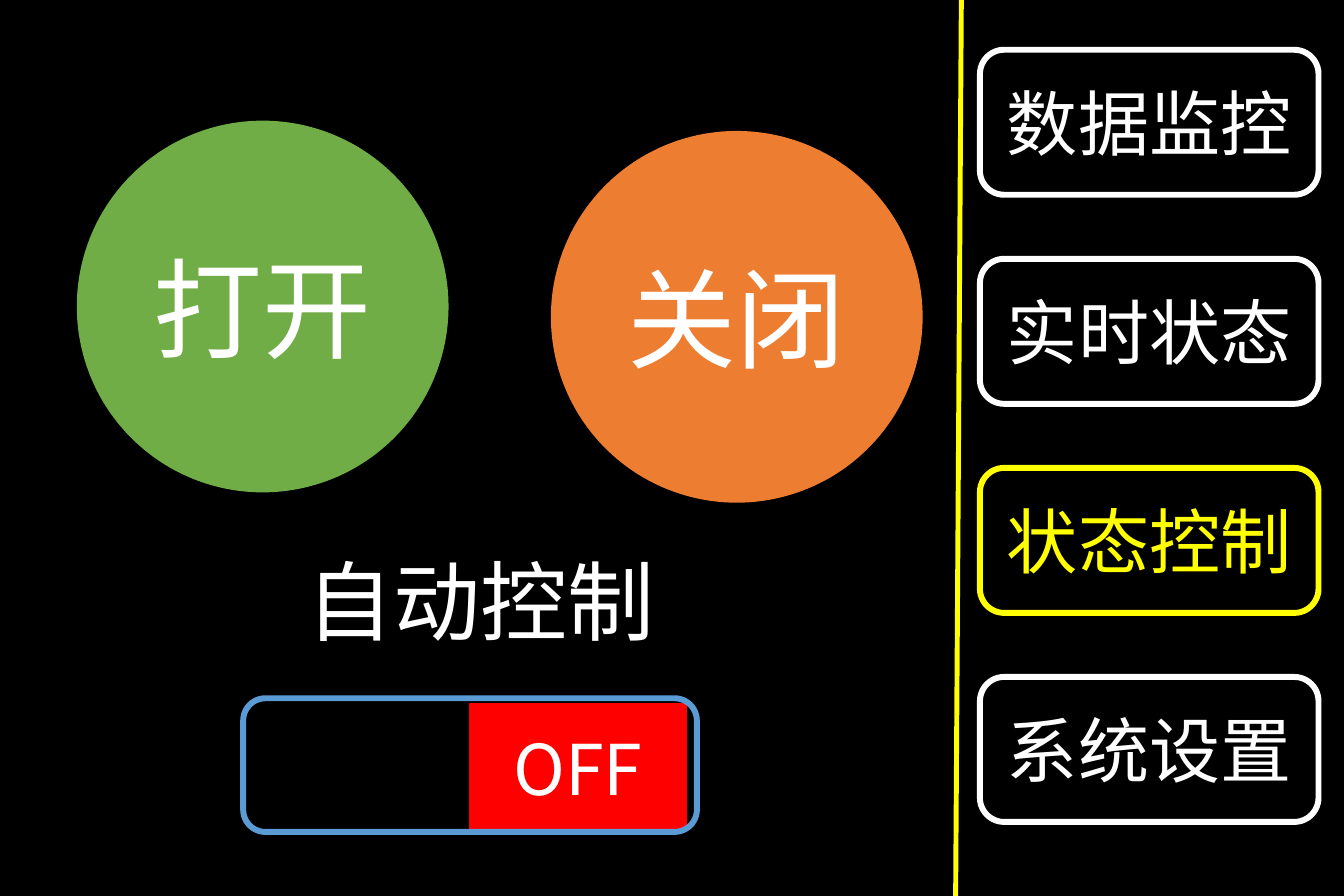
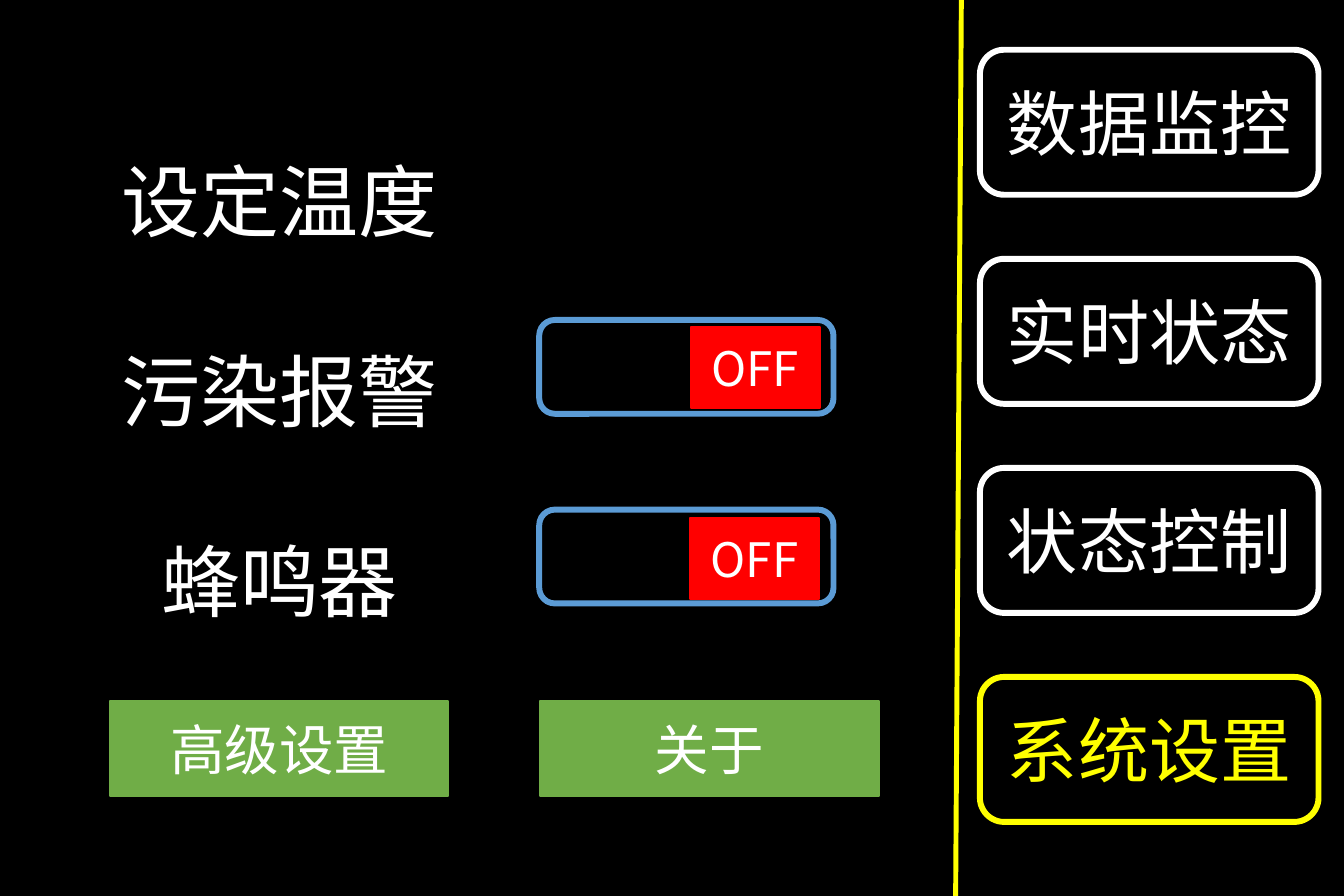
from lxml.etree import SubElement
from pptx import Presentation
from pptx.dml.color import RGBColor
from pptx.enum.shapes import MSO_CONNECTOR, MSO_SHAPE
from pptx.enum.text import MSO_ANCHOR, MSO_AUTO_SIZE, PP_ALIGN
from pptx.oxml.ns import qn
from pptx.util import Pt

FONT = "Noto Sans CJK SC"
BLACK, WHITE, YELLOW = "000000", "FFFFFF", "FFFF00"
GREEN, ORANGE, RED, BLUE = "70AD47", "ED7D31", "FF0000", "5B9BD5"
MENU = ["数据监控", "实时状态", "状态控制", "系统设置"]


def tint(code):
    return RGBColor.from_string(code)


class Panel:
    """Draws the screens of a touch panel, with lengths in points."""

    def __init__(self, width, height):
        self.deck = Presentation()
        self.deck.slide_width, self.deck.slide_height = Pt(width), Pt(height)
        self.height = height

    def screen(self, active):
        self.slide = self.deck.slides.add_slide(self.deck.slide_layouts[6])
        fill = self.slide.background.fill
        fill.solid()
        fill.fore_color.rgb = tint(BLACK)
        for row, name in enumerate(MENU):
            color = YELLOW if name == active else WHITE
            box = 496.1, 25.2 + 105.84 * row, 171.4, 73.4
            self.frame(box, color, name, 36)
        self.line(486.7, 0, 483.8, self.height)

    def letter(self, frame, text, size, color, align=PP_ALIGN.CENTER):
        frame.word_wrap = True
        para = frame.paragraphs[0]
        para.text, para.alignment = text, align
        font = para.font
        font.size, font.name = Pt(size), FONT
        font.color.rgb = tint(color)
        props = para._p.pPr.find(qn("a:defRPr"))
        SubElement(props, qn("a:ea")).set("typeface", FONT)
        return para

    def shape(self, kind, box, color, weight, text, size, ink):
        shape = self.slide.shapes.add_shape(kind, *map(Pt, box))
        shape.shadow.inherit = False
        shape.line.color.rgb = tint(color)
        shape.line.width = Pt(weight)
        if text:
            shape.text_frame.vertical_anchor = MSO_ANCHOR.MIDDLE
            self.letter(shape.text_frame, text, size, ink)
        return shape

    def frame(self, box, color, text="", size=0):
        kind = MSO_SHAPE.ROUNDED_RECTANGLE
        self.shape(kind, box, color, 3, text, size, color).fill.background()

    def button(self, kind, box, color, text, size):
        shape = self.shape(kind, box, color, 1, text, size, WHITE)
        shape.fill.solid()
        shape.fill.fore_color.rgb = tint(color)

    def switch(self, box, knob, size):
        self.button(MSO_SHAPE.RECTANGLE, knob, RED, "OFF", size)
        self.frame(box, BLUE)

    def label(self, box, text, size, align, space=1):
        frame = self.slide.shapes.add_textbox(*map(Pt, box)).text_frame
        para = self.letter(frame, text, size, WHITE, align)
        para.line_spacing = space
        frame.auto_size = MSO_AUTO_SIZE.SHAPE_TO_FIT_TEXT

    def line(self, *ends):
        line = self.slide.shapes.add_connector(
            MSO_CONNECTOR.STRAIGHT, *map(Pt, ends))
        line.line.color.rgb = tint(YELLOW)
        line.line.width = Pt(2.5)
        SubElement(line._element.spPr, qn("a:effectLst"))


panel = Panel(680.4, 453.6)

panel.screen("状态控制")
for left, top, color, text in [(39.4, 61.6, GREEN, "打开"),
                               (279.4, 66.8, ORANGE, "关闭")]:
    panel.button(MSO_SHAPE.OVAL, (left, top, 187.2, 187.2), color, text, 55.1)
panel.label((148.3, 273.6, 198.7, 60.5), "自动控制", 44, PP_ALIGN.LEFT)
panel.switch((123.1, 353.5, 229.7, 67.7), (237.9, 356.4, 109.4, 64.5), 35.4)

panel.screen("系统设置")
panel.label((36, 25.9, 211, 283.7), "设定温度污染报警蜂鸣器", 40,
            PP_ALIGN.CENTER, 2)
for top, left, knob in [(162, 349.6, 165.5), (258, 349.2, 262.1)]:
    panel.switch((273, top, 149, 47.5), (left, knob, 65.5, 41), 24)
for left, text in [(55.6, "高级设置"), (273.4, "关于")]:
    panel.button(MSO_SHAPE.RECTANGLE, (left, 355, 171.4, 48.2), GREEN,
                 text, 27.6)

panel.deck.save("out.pptx")
